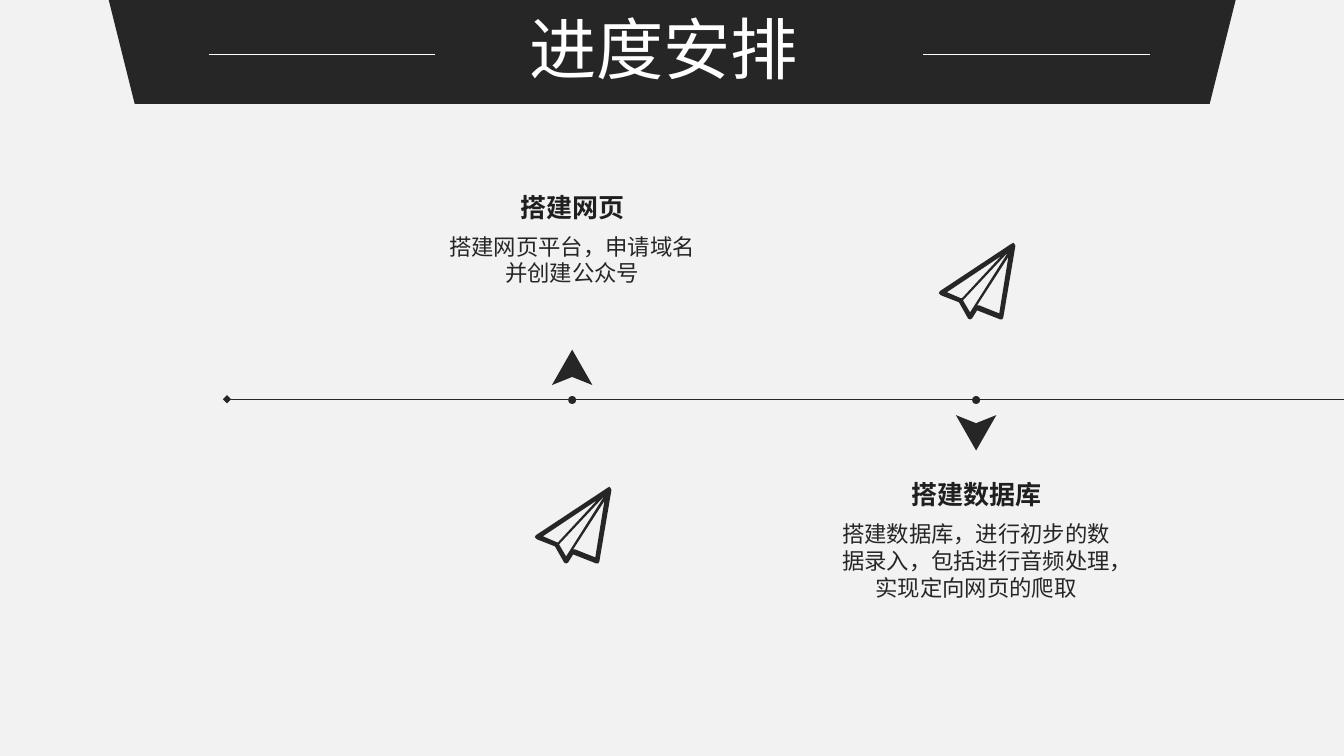
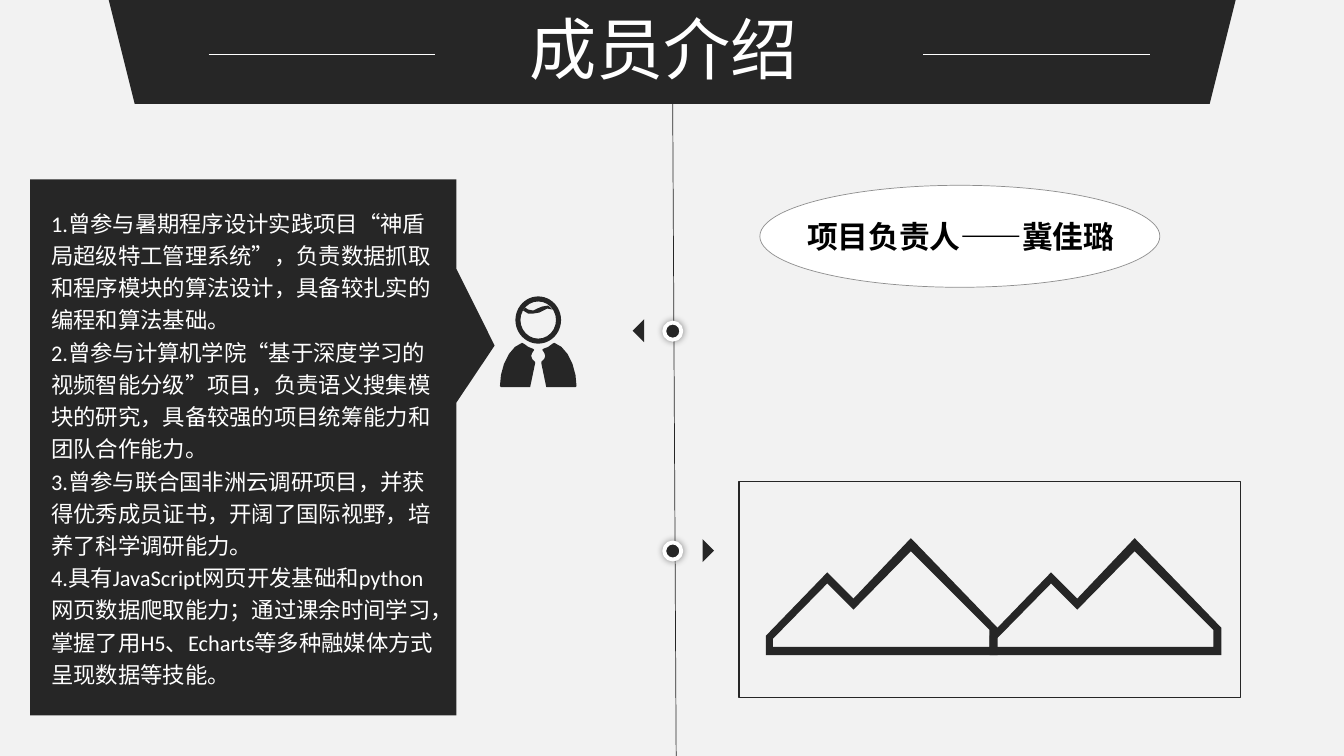
from lxml import etree
from pptx import Presentation
from pptx.dml.color import RGBColor
from pptx.enum.shapes import MSO_CONNECTOR, MSO_SHAPE
from pptx.enum.text import PP_ALIGN
from pptx.oxml.ns import qn
from pptx.util import Cm, Pt

STRAIGHT = MSO_CONNECTOR.STRAIGHT
OVAL = MSO_SHAPE.OVAL
RECTANGLE = MSO_SHAPE.RECTANGLE
TRAPEZOID = MSO_SHAPE.TRAPEZOID
RIGHT_TRIANGLE = MSO_SHAPE.RIGHT_TRIANGLE
DONUT = MSO_SHAPE.DONUT
CALLOUT = MSO_SHAPE.RECTANGULAR_CALLOUT
CENTER, LEFT = PP_ALIGN.CENTER, PP_ALIGN.LEFT

DARK, HEADING, WHITE, BLACK, PAPER = "262626", "1F1F1F", "FFFFFF", "000000", "F2F2F2"
BODY_FONT, TITLE_FONT = "Calibri", "Times New Roman"
SLIDE_WIDTH, SLIDE_HEIGHT = 33.87, 19.05

# Icon outlines: lists of closed contours on a small integer grid.
PLANE = [
    [(74, 0), (72, 1), (1, 48), (0, 50), (2, 52), (20, 59), (29, 75), (31, 76),
     (33, 75), (38, 67), (61, 76), (63, 76), (64, 74), (76, 3), (75, 1)],
    [(60, 70), (40, 62), (38, 62), (69, 14)],
    [(24, 57), (69, 9), (31, 69)],
    [(8, 49), (62, 13), (23, 55), (22, 55)],
]
ARROW_UP = [[(0, 35), (20, 0), (40, 35), (20, 27)]]
ARROW_DOWN = [[(x, 35 - y) for x, y in ARROW_UP[0]]]
MOUNTAINS = [
    [(230, 116), (0, 116), (0, 97), (61, 34), (87, 60), (144, 0), (230, 89)],
    [(7, 108), (222, 108), (222, 91), (144, 13), (87, 71), (61, 45), (7, 100)],
]
JACKET = [(0, 89), (1, 78), (4, 67), (9, 57), (15, 50), (22, 46), (24, 47), (28, 50),
          (33, 52), (34, 53), (32, 56), (31, 59), (32, 62), (35, 65), (35, 66),
          (30, 90), (1, 90)]
HAIR = [(23, 14), (28, 17), (33, 17), (39, 16), (47, 12), (52, 13), (48, 9),
        (42, 10), (37, 12), (33, 14), (28, 13), (25, 11)]
PERSON = [JACKET, [(76 - x, y) for x, y in JACKET], HAIR]

MILESTONES = [
    (14.42, True, "搭建网页", "搭建网页平台，申请域名并创建公众号", 7.24),
    (24.6, False, "搭建数据库",
     "搭建数据库，进行初步的数据录入，包括进行音频处理，实现定向网页的爬取", 7.44),
]
EXPERIENCE = [
    "1.曾参与暑期程序设计实践项目“神盾局超级特工管理系统”，负责数据抓取和程序模块的算法设计，具备较扎实的编程和算法基础。",
    "2.曾参与计算机学院“基于深度学习的视频智能分级”项目，负责语义搜集模块的研究，具备较强的项目统筹能力和团队合作能力。",
    "3.曾参与联合国非洲云调研项目，并获得优秀成员证书，开阔了国际视野，培养了科学调研能力。",
    "4.具有JavaScript网页开发基础和python网页数据爬取能力；通过课余时间学习，掌握了用H5、Echarts等多种融媒体方式呈现数据等技能。",
]


def color(value):
    return RGBColor.from_string(value)


def add_alpha(solid_fill, percent):
    etree.SubElement(solid_fill[0], qn("a:alpha"), val=str(percent * 1000))


def style_shape(shape, fill=None, line=None, line_width=0.5):
    shape.shadow.inherit = False
    if fill:
        shape.fill.solid()
        shape.fill.fore_color.rgb = color(fill)
    else:
        shape.fill.background()
    if line:
        shape.line.color.rgb = color(line)
        shape.line.width = Pt(line_width)
    else:
        shape.line.fill.background()
    return shape


def add_shape(slide, kind, left, top, width, height, fill=DARK, line=None, line_width=0.5):
    shape = slide.shapes.add_shape(kind, Cm(left), Cm(top), Cm(width), Cm(height))
    return style_shape(shape, fill, line, line_width)


def add_icon(slide, contours, left, top, width):
    """Draw the contours so that their grid spans the given width."""
    scale = Cm(width) / max(x for contour in contours for x, _ in contour)
    builder = slide.shapes.build_freeform(*contours[0][0], scale=scale)
    builder.add_line_segments(contours[0][1:], close=True)
    for contour in contours[1:]:
        builder.move_to(*contour[0])
        builder.add_line_segments(contour[1:], close=True)
    return style_shape(builder.convert_to_shape(Cm(left), Cm(top)), DARK)


def add_line(slide, start, end, line_color=DARK):
    connector = slide.shapes.add_connector(
        STRAIGHT, Cm(start[0]), Cm(start[1]), Cm(end[0]), Cm(end[1]))
    connector.line.color.rgb = color(line_color)
    connector.line.width = Pt(0.5)
    etree.SubElement(connector._element.spPr, qn("a:effectLst"))
    return connector


def add_text(slide, box, paragraphs, size, text_color, font=BODY_FONT,
             bold=False, align=LEFT, line_spacing=None):
    frame = slide.shapes.add_textbox(*(Cm(length) for length in box)).text_frame
    frame.word_wrap = True
    for index, text in enumerate(paragraphs):
        paragraph = frame.add_paragraph() if index else frame.paragraphs[0]
        paragraph.alignment = align
        paragraph.line_spacing = line_spacing
        run = paragraph.add_run()
        run.text = text
        run.font.name = font
        run.font.size = Pt(size)
        run.font.bold = bold
        run.font.color.rgb = color(text_color)


def add_slide(presentation):
    slide = presentation.slides.add_slide(presentation.slide_layouts[6])
    slide.background.fill.solid()
    slide.background.fill.fore_color.rgb = color(PAPER)
    return slide


def add_header(slide, title):
    add_shape(slide, TRAPEZOID, 2.74, 0, 28.4, 2.62).rotation = 180
    add_text(slide, (6.91, 0.3, 19.63, 2.11), [title], 48, WHITE, TITLE_FONT,
             align=CENTER, line_spacing=0.9)
    for left in (5.26, 23.27):
        add_line(slide, (left, 1.37), (left + 5.71, 1.37), WHITE)


def add_milestone(slide, center, above, heading, body, body_width):
    """Place the text above or below the axis, and the plane on the other side."""
    if above:
        arrow, arrow_top, heading_top, plane_top = ARROW_UP, 8.81, 4.7, 12.27
    else:
        arrow, arrow_top, heading_top, plane_top = ARROW_DOWN, 10.46, 11.94, 6.12
    add_shape(slide, OVAL, center - 0.1, 9.98, 0.2, 0.2)
    add_icon(slide, arrow, center - 0.51, arrow_top, 1.02)
    add_text(slide, (center - 2.46, heading_top, 4.92, 1.04), [heading], 18.6,
             HEADING, bold=True, align=CENTER)
    add_text(slide, (center - body_width / 2, heading_top + 1.04, body_width, 1.63),
             [body], 16, DARK, align=CENTER)
    add_icon(slide, PLANE, center - 0.94, plane_top, 1.93)


def add_node(slide, top, pointer_left, pointer_rotation):
    node = add_shape(slide, OVAL, 16.74, top, 0.43, 0.43, DARK, WHITE, 2.75)
    effects = node._element.spPr.find(qn("a:effectLst"))
    shadow = etree.SubElement(effects, qn("a:outerShdw"), blurRad=str(Pt(5)),
                              dist="0", dir="0", algn="ctr", rotWithShape="0")
    etree.SubElement(shadow, qn("a:srgbClr"), val=BLACK)
    add_alpha(shadow, 40)
    pointer = add_shape(slide, RIGHT_TRIANGLE, pointer_left, top, 0.41, 0.41)
    pointer.rotation = pointer_rotation


def add_person(slide, left, top):
    add_icon(slide, PERSON, left, top, 1.93)
    head = add_shape(slide, DONUT, left + 0.39, top, 1.15, 1.19)
    head.adjustments[0] = 0.11


def build_schedule(presentation):
    slide = add_slide(presentation)
    axis = add_line(slide, (5.72, 10.06), (SLIDE_WIDTH, 10.06))
    etree.SubElement(axis.line._get_or_add_ln(), qn("a:headEnd"), type="diamond")
    for milestone in MILESTONES:
        add_milestone(slide, *milestone)
    add_header(slide, "进度安排")


def build_members(presentation):
    slide = add_slide(presentation)
    name_plate = add_shape(slide, OVAL, 19.15, 4.67, 10.08, 2.57, WHITE, DARK)
    add_alpha(name_plate._element.spPr.find(qn("a:ln")).find(qn("a:solidFill")), 50)
    add_text(slide, (20.09, 5.36, 9.17, 1.19), ["项目负责人——冀佳璐"], 22, BLACK, bold=True)

    add_line(slide, (16.94, 0.3), (17.04, SLIDE_HEIGHT))
    add_node(slide, 8.13, 16.03, 45)
    add_node(slide, 13.67, 17.5, 225)
    add_person(slide, 12.6, 7.47)

    callout = add_shape(slide, CALLOUT, 0.76, 4.52, 10.74, 13.51)
    callout.adjustments[0] = 0.59
    callout.adjustments[1] = -0.19
    add_text(slide, (1.04, 5.03, 10.19, 12.55), EXPERIENCE, 16, WHITE, line_spacing=1.2)

    add_shape(slide, RECTANGLE, 18.62, 12.14, 12.65, 5.44, None, DARK, 1)
    for left in (19.3, 24.94):
        add_icon(slide, MOUNTAINS, left, 13.56, 5.84)
    add_header(slide, "成员介绍")


def main():
    presentation = Presentation()
    presentation.slide_width = Cm(SLIDE_WIDTH)
    presentation.slide_height = Cm(SLIDE_HEIGHT)
    build_schedule(presentation)
    build_members(presentation)
    presentation.save("out.pptx")


if __name__ == "__main__":
    main()
